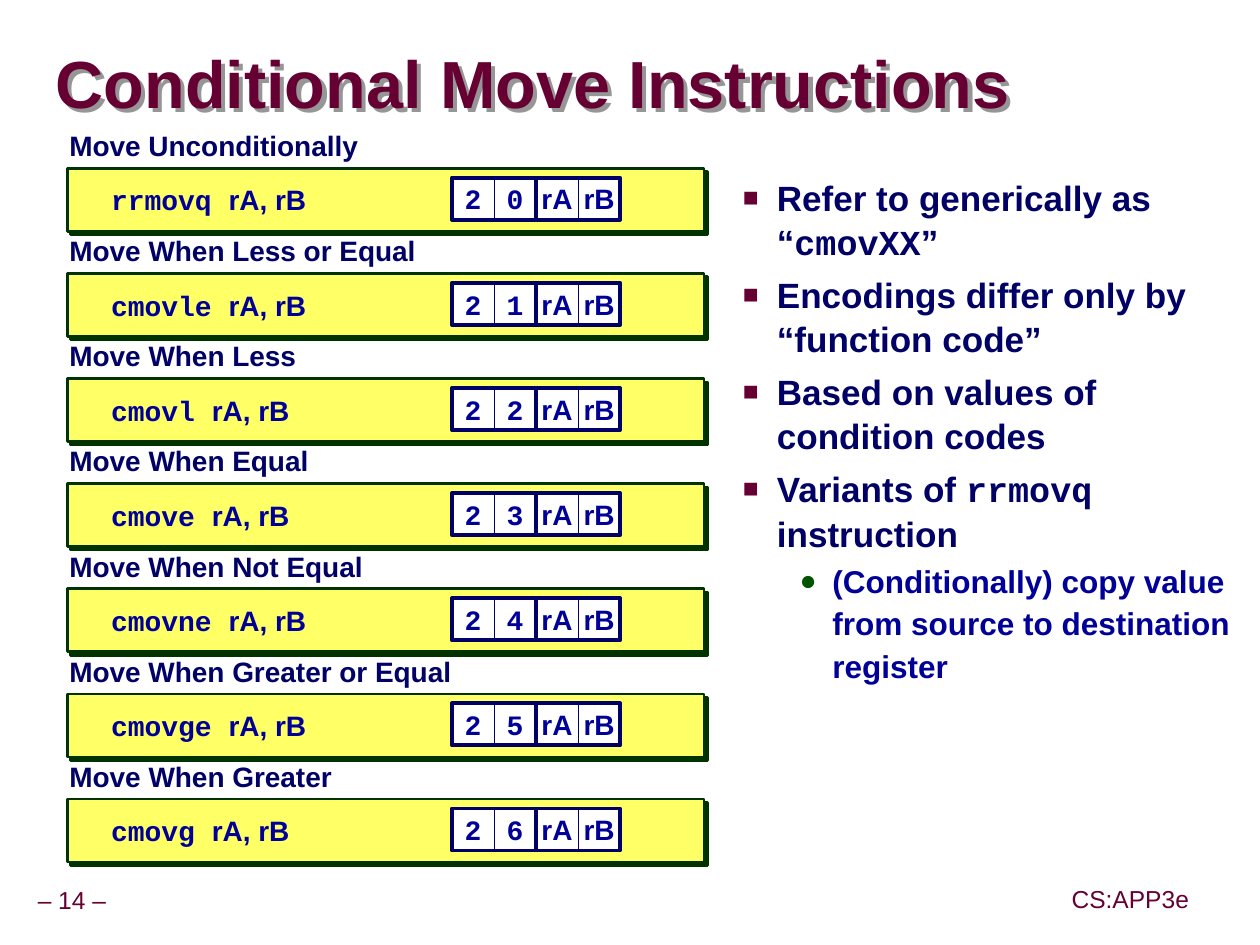
"""Builds the slide on conditional move instructions."""
import dataclasses

import lxml.etree
import pptx
import pptx.dml.color
import pptx.enum.shapes
import pptx.enum.text
import pptx.oxml.ns
import pptx.util

ANCHOR = pptx.enum.text.MSO_ANCHOR
ALIGN = pptx.enum.text.PP_ALIGN
FIT = pptx.enum.text.MSO_AUTO_SIZE
GRID = 1 / 12  # inches per grid column and per grid row


@dataclasses.dataclass(frozen=True)
class Theme:
    """Colours, fonts and type sizes of the slide."""
    maroon: str = "660033"
    navy: str = "000066"
    blue: str = "000099"
    green: str = "005400"
    dark_green: str = "003300"
    yellow: str = "FFFF66"
    white: str = "FFFFFF"
    grey: str = "969696"
    sans: str = "Arial"
    mono: str = "Courier New"
    title_size: int = 38
    body_size: int = 20
    detail_size: int = 18
    code_size: int = 16
    footer_size: int = 14


@dataclasses.dataclass(frozen=True)
class Box:
    """A rectangle in grid units."""
    left: float
    top: float
    width: float
    height: float

    def inner(self, left, top, width, height):
        """Return a box placed relative to this one."""
        return Box(self.left + left, self.top + top, width, height)

    def lengths(self):
        """Return left, top, width and height as slide lengths."""
        values = (self.left, self.top, self.width, self.height)
        return [pptx.util.Inches(value * GRID) for value in values]


THEME = Theme()
ROW_PITCH = 10
# Condition, grid columns of its label, mnemonic
MOVES = [
    ("Move Unconditionally", 29, "rrmovq"),
    ("Move When Less or Equal", 34.5, "cmovle"),
    ("Move When Less", 23.2, "cmovl"),
    ("Move When Equal", 24.4, "cmove"),
    ("Move When Not Equal", 29.5, "cmovne"),
    ("Move When Greater or Equal", 37.9, "cmovge"),
    ("Move When Greater", 26.5, "cmovg"),
]
# Level, then the runs as (text, font)
POINTS = [
    (1, [("Refer to generically as “", THEME.sans), ("cmovXX", THEME.mono),
         ("”", THEME.sans)]),
    (1, [("Encodings differ only by “function code”", THEME.sans)]),
    (1, [("Based on values of condition codes", THEME.sans)]),
    (1, [("Variants of ", THEME.sans), ("rrmovq", THEME.mono),
         (" instruction", THEME.sans)]),
    (2, [("(Conditionally) copy value from source to destination register",
          THEME.sans)]),
]


def rgb(colour):
    """Turn a hex string into a colour."""
    return pptx.dml.color.RGBColor.from_string(colour)


def add_element(parent, tag, **attributes):
    """Append a DrawingML element to its parent."""
    name = pptx.oxml.ns.qn("a:" + tag)
    return lxml.etree.SubElement(parent, name, attributes)


def add_run(paragraph, text, font, size, colour, bold=True):
    """Add one formatted run."""
    run = paragraph.add_run()
    run.text = text
    run.font.name = font
    run.font.size = pptx.util.Pt(size)
    run.font.bold = bold
    run.font.color.rgb = rgb(colour)


def set_frame(shape, margins=(0.1, 0.05), anchor=ANCHOR.MIDDLE, wrap=False, fit=FIT.NONE):
    """Set margins, anchor and wrapping; return the text frame."""
    frame = shape.text_frame
    frame.margin_left = frame.margin_right = pptx.util.Inches(margins[0])
    frame.margin_top = frame.margin_bottom = pptx.util.Inches(margins[1])
    frame.vertical_anchor = anchor
    frame.word_wrap = wrap
    frame.auto_size = fit
    return frame


def add_shadow(shape, colour, distance):
    """Give a shape a hard shadow to the lower right."""
    shape.shadow.inherit = False
    effects = shape._element.spPr.find(pptx.oxml.ns.qn("a:effectLst"))
    shadow = add_element(effects, "outerShdw", blurRad="0", dir="2700000", algn="ctr",
                         dist=str(int(pptx.util.Pt(distance))), rotWithShape="0")
    add_element(shadow, "srgbClr", val=colour)


def add_rectangle(shapes, box, fill, line, weight):
    """Add a rectangle, hollow if fill is None."""
    kind = pptx.enum.shapes.MSO_SHAPE.RECTANGLE
    shape = shapes.add_shape(kind, *box.lengths())
    shape.shadow.inherit = False
    if fill:
        shape.fill.solid()
        shape.fill.fore_color.rgb = rgb(fill)
    else:
        shape.fill.background()
    shape.line.color.rgb = rgb(line)
    shape.line.width = pptx.util.Pt(weight)
    return shape


def add_caption(slide, box, text, size, colour, bold, align):
    """Add a one-line text box that fits its text."""
    shape = slide.shapes.add_textbox(*box.lengths())
    frame = set_frame(shape, (0.05, 0.05), fit=FIT.SHAPE_TO_FIT_TEXT,
                      anchor=ANCHOR.TOP if bold else ANCHOR.MIDDLE)
    paragraph = frame.paragraphs[0]
    paragraph.alignment = align
    paragraph.line_spacing = 0.9
    add_run(paragraph, text, THEME.sans, size, colour, bold)


def add_title(slide, box, text):
    """Fill the title placeholder."""
    title = slide.shapes.title
    title.left, title.top, title.width, title.height = box.lengths()
    add_shadow(title, THEME.grey, 3.4)
    paragraph = set_frame(title, (0, 0), wrap=True).paragraphs[0]
    paragraph.alignment = ALIGN.LEFT
    paragraph.line_spacing = 0.87
    add_run(paragraph, text, THEME.sans, THEME.title_size, THEME.maroon)


def add_points(slide, box):
    """Fill the body placeholder with the bulleted points."""
    # level: size, colour, indent, hanging, line spacing, space before, bullet
    styles = {
        1: (THEME.body_size, THEME.navy, 0.81, 0.27, 1.05, 5, ("■", THEME.maroon, 75)),
        2: (THEME.detail_size, THEME.blue, 1.25, 0.26, 1.12, 1.8, ("●", THEME.green, 90)),
    }
    body = slide.placeholders[1]
    body.left, body.top, body.width, body.height = box.lengths()
    frame = set_frame(body, anchor=ANCHOR.TOP, wrap=True)
    for number, (level, runs) in enumerate(POINTS):
        paragraph = frame.add_paragraph() if number else frame.paragraphs[0]
        size, colour, indent, hanging, spacing, before, bullet = styles[level]
        paragraph.level = level
        paragraph.alignment = ALIGN.LEFT
        paragraph.line_spacing = spacing
        paragraph.space_before = pptx.util.Pt(before)
        properties = paragraph._p.get_or_add_pPr()
        properties.set("marL", str(int(pptx.util.Inches(indent))))
        properties.set("indent", str(-int(pptx.util.Inches(hanging))))
        character, bullet_colour, percent = bullet
        add_element(add_element(properties, "buClr"), "srgbClr", val=bullet_colour)
        add_element(properties, "buSzPct", val=str(percent * 1000))
        add_element(properties, "buFont", typeface=THEME.sans)
        add_element(properties, "buChar", char=character)
        for text, font in runs:
            add_run(paragraph, text, font, size, colour)


def add_byte(slide, box, halves, font):
    """Add one encoded byte: two framed half-byte cells."""
    shapes = slide.shapes.add_group_shape().shapes
    side = box.width / 2
    for column, text in enumerate(halves):
        cell = add_rectangle(shapes, box.inner(column * side, 0, side, box.height),
                             THEME.white, THEME.navy, 0.5)
        paragraph = set_frame(cell).paragraphs[0]
        paragraph.alignment = ALIGN.CENTER
        add_run(paragraph, text, font, THEME.code_size, THEME.blue)
    add_rectangle(shapes, box, None, THEME.navy, 2.25)


def add_move(slide, box, function_code, condition, label_width, mnemonic):
    """Add one instruction: label, bar, assembly text and encoding."""
    bar = add_rectangle(slide.shapes, box.inner(0.4, 4, box.width - 0.4, 6),
                        THEME.yellow, THEME.dark_green, 1.5)
    add_shadow(bar, THEME.dark_green, 2.8)
    assembly = slide.shapes.add_textbox(*box.inner(3.4, 5, 14.6, 4).lengths())
    paragraph = set_frame(assembly).paragraphs[0]
    for text, font in ((mnemonic + " ", THEME.mono), ("rA, rB", THEME.sans)):
        add_run(paragraph, text, font, THEME.code_size, THEME.blue)
    add_caption(slide, box.inner(0, 0, label_width, 4), condition,
                THEME.code_size, THEME.navy, True, ALIGN.LEFT)
    add_byte(slide, box.inner(37, 4.9, 8, 4), ("2", str(function_code)), THEME.mono)
    add_byte(slide, box.inner(45, 4.9, 8, 4), ("rA", "rB"), THEME.sans)


def add_moves(slide, box):
    """Stack the instructions down the box."""
    for code, move in enumerate(MOVES):
        row = box.inner(0, code * ROW_PITCH, box.width, ROW_PITCH)
        add_move(slide, row, code, *move)


def main():
    """Build and save the presentation."""
    presentation = pptx.Presentation()
    presentation.slide_width = pptx.util.Inches(9.99)
    presentation.slide_height = pptx.util.Inches(7.49)
    slide = presentation.slides.add_slide(presentation.slide_layouts[1])
    add_title(slide, Box(5.3, 3.2, 114.2, 10.2), "Conditional Move Instructions")
    add_points(slide, Box(63, 16, 56.9, 68.4))
    add_moves(slide, Box(6, 12, 61, 7 * ROW_PITCH))
    for box, text in ((Box(2.9, 83.9, 7.9, 3.7), "– 14 –"),
                      (Box(101.3, 83.8, 12.5, 3.8), "CS:APP3e")):
        add_caption(slide, box, text, THEME.footer_size, THEME.maroon, False, ALIGN.CENTER)
    presentation.save("out.pptx")


main()
